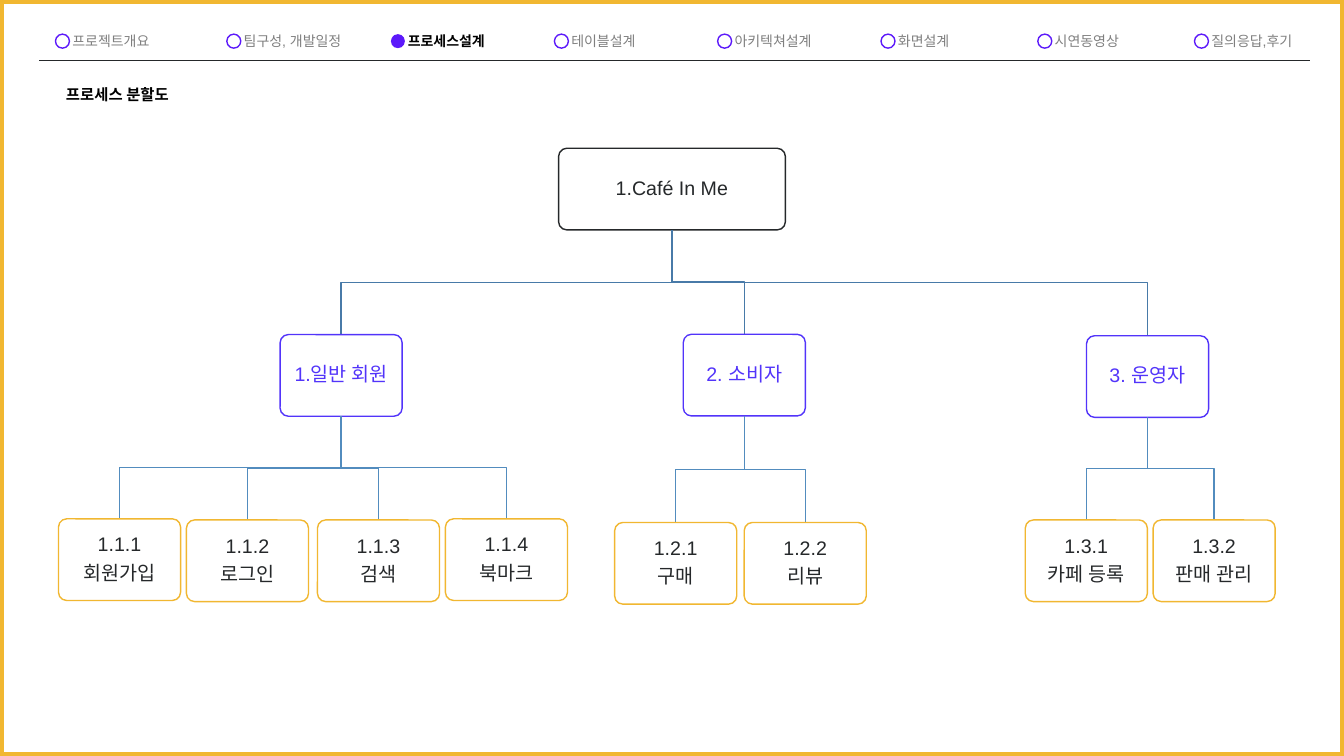
from lxml import etree
from pptx import Presentation
from pptx.dml.color import RGBColor
from pptx.enum.shapes import MSO_CONNECTOR, MSO_SHAPE
from pptx.enum.text import MSO_ANCHOR, MSO_AUTO_SIZE, PP_ALIGN
from pptx.oxml.ns import qn
from pptx.util import Pt

ELLIPSE, RECTANGLE, ROUNDED = MSO_SHAPE.OVAL, MSO_SHAPE.RECTANGLE, MSO_SHAPE.ROUNDED_RECTANGLE
STRAIGHT = MSO_CONNECTOR.STRAIGHT
CENTER, LEFT = PP_ALIGN.CENTER, PP_ALIGN.LEFT
MIDDLE, TOP = MSO_ANCHOR.MIDDLE, MSO_ANCHOR.TOP
FIT_SHAPE, NO_FIT = MSO_AUTO_SIZE.SHAPE_TO_FIT_TEXT, MSO_AUTO_SIZE.NONE

BLACK = RGBColor(0x00, 0x00, 0x00)
INK = RGBColor(0x25, 0x28, 0x2A)
GRAY = RGBColor(0x7F, 0x7F, 0x7F)
VIOLET = RGBColor(0x5C, 0x19, 0xFA)
INDIGO = RGBColor(0x52, 0x34, 0xFA)
AMBER = RGBColor(0xF1, 0xB7, 0x31)
DARK_BLUE = RGBColor(0x48, 0x7A, 0xA8)
BLUE = RGBColor(0x52, 0x8C, 0xBE)

FONT = "Arial"
BOX_WIDTH, BOX_HEIGHT = 87.2, 58.3
ROOT_CENTER, ROOT_TOP, ROOT_WIDTH = 480, 105.9, 162
GROUP_CENTER, GROUP_STEP = 243.7, 288

SECTIONS = [  # label, marker left, label width
    ("프로젝트개요", 39.6, 92.2),
    ("팀구성, 개발일정", 162, 94.3),
    ("프로세스설계", 279.2, 84.2),
    ("테이블설계", 396, 71.3),
    ("아키텍쳐설계", 512.6, 92.9),
    ("화면설계", 629.3, 71.3),
    ("시연동영상", 741.3, 71.3),
    ("질의응답,후기", 853.2, 82.8),
]
CURRENT_SECTION = "프로세스설계"

GROUPS = [  # label, top, processes as (label, center, top)
    ("1.일반 회원", 239, [
        ("1.1.1\n회원가입", 85.4, 370.6),
        ("1.1.2\n로그인", 176.8, 371.4),
        ("1.1.3\n검색", 270.4, 371.4),
        ("1.1.4\n북마크", 361.8, 370.6),
    ]),
    ("2. 소비자", 238.8, [
        ("1.2.1\n구매", 482.7, 373.2),
        ("1.2.2\n리뷰", 575.2, 373.2),
    ]),
    ("3. 운영자", 239.8, [
        ("1.3.1\n카페 등록", 776, 371.4),
        ("1.3.2\n판매 관리", 867.3, 371.4),
    ]),
]

prs = Presentation()
prs.slide_width, prs.slide_height = Pt(960), Pt(540)
slide = prs.slides.add_slide(prs.slide_layouts[5])
shapes = slide.shapes


def add_box(label, center, top, width, line_color, text_color):
    box = shapes.add_shape(ROUNDED, Pt(center - width / 2), Pt(top), Pt(width), Pt(BOX_HEIGHT))
    box.adjustments[0] = 0.1
    box.shadow.inherit = False
    box.fill.background()
    box.line.color.rgb = line_color
    box.line.width = Pt(1)
    frame = box.text_frame
    frame.word_wrap = True
    frame.vertical_anchor = MIDDLE
    frame.margin_left = frame.margin_right = frame.margin_top = frame.margin_bottom = Pt(4)
    frame.text = label
    for index, paragraph in enumerate(frame.paragraphs):
        paragraph.alignment = CENTER
        paragraph.line_spacing = 0.9
        if index:
            paragraph.space_before = Pt(4.9)
        paragraph.font.name = FONT
        paragraph.font.size = Pt(14)
        paragraph.font.color.rgb = text_color


def add_branch(parent_x, parent_bottom, child_x, child_top, color):
    """Draw a stepped line that turns halfway between parent and child."""
    turn = (parent_bottom + child_top) / 2
    builder = shapes.build_freeform(Pt(parent_x), Pt(parent_bottom))
    corners = [(parent_x, turn), (child_x, turn), (child_x, child_top)]
    builder.add_line_segments([(Pt(x), Pt(y)) for x, y in corners], close=False)
    branch = builder.convert_to_shape()
    branch.shadow.inherit = False
    branch.fill.background()
    branch.line.color.rgb = color
    branch.line.width = Pt(1)


# Navigation bar
rule = shapes.add_connector(STRAIGHT, Pt(28), Pt(43.4), Pt(936), Pt(43.4))
rule.line.color.rgb = INK
rule.line.width = Pt(1)
etree.SubElement(rule._element.spPr, qn("a:effectLst"))

for label, left, width in SECTIONS:
    is_current = label == CURRENT_SECTION
    marker = shapes.add_shape(ELLIPSE, Pt(left), Pt(24.4), Pt(10), Pt(10))
    marker.shadow.inherit = False
    if is_current:
        marker.fill.solid()
        marker.fill.fore_color.rgb = VIOLET
        marker.line.fill.background()
    else:
        marker.fill.background()
        marker.line.color.rgb = VIOLET
        marker.line.width = Pt(1)

    caption = shapes.add_textbox(Pt(left + 5), Pt(19.4), Pt(width), Pt(19.4)).text_frame
    caption.word_wrap = True
    caption.auto_size = FIT_SHAPE
    caption.text = label
    caption_font = caption.paragraphs[0].font
    caption_font.name = FONT
    caption_font.size = Pt(10)
    caption_font.bold = is_current
    caption_font.color.rgb = BLACK if is_current else GRAY

# Process tree
add_box("1.Café In Me", ROOT_CENTER, ROOT_TOP, ROOT_WIDTH, INK, INK)
for index, (group, group_top, processes) in enumerate(GROUPS):
    group_x = GROUP_CENTER + index * GROUP_STEP
    add_branch(ROOT_CENTER, ROOT_TOP + BOX_HEIGHT, group_x, group_top, DARK_BLUE)
    add_box(group, group_x, group_top, BOX_WIDTH, INDIGO, INDIGO)
    for process, process_x, process_top in processes:
        add_branch(group_x, group_top + BOX_HEIGHT, process_x, process_top, BLUE)
        add_box(process, process_x, process_top, BOX_WIDTH, AMBER, INK)

# Slide border
border = shapes.add_shape(RECTANGLE, 0, 0, prs.slide_width, prs.slide_height)
border.shadow.inherit = False
border.fill.background()
border.line.color.rgb = AMBER
border.line.width = Pt(6)

# Title
title = shapes.title
title.left, title.top, title.width, title.height = Pt(39.9), Pt(56.9), Pt(112.3), Pt(20.6)
heading = title.text_frame
heading.word_wrap = True
heading.auto_size = NO_FIT
heading.vertical_anchor = TOP
heading.text = "프로세스 분할도"
heading_paragraph = heading.paragraphs[0]
heading_paragraph.alignment = LEFT
heading_paragraph.font.name = FONT
heading_paragraph.font.size = Pt(11)
heading_paragraph.font.bold = True
heading_paragraph.font.color.rgb = BLACK

prs.save("out.pptx")
